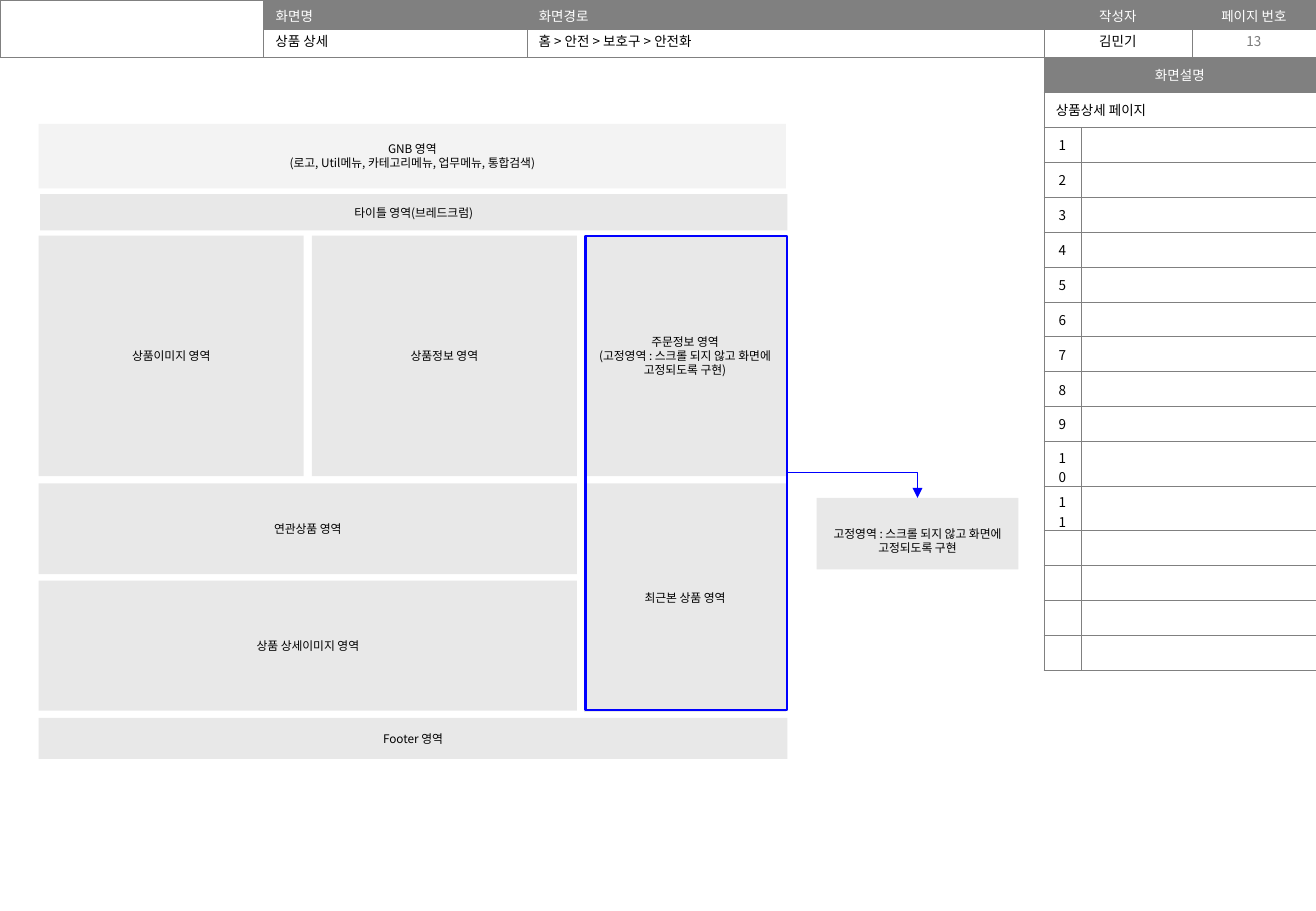
from lxml import etree
from pptx import Presentation
from pptx import util as u
from pptx.dml.color import RGBColor
from pptx.enum import shapes, text
from pptx.oxml import ns

FONT = "Noto Sans CJK KR"
WHITE = RGBColor(0xFF, 0xFF, 0xFF)
BLACK = RGBColor(0, 0, 0)
GRAY = RGBColor(0x80, 0x80, 0x80)
PAGE_GRAY = RGBColor(0x79, 0x79, 0x79)
LIGHT = RGBColor(0xF3, 0xF3, 0xF3)
AREA = RGBColor(0xE8, 0xE8, 0xE8)
BLUE = RGBColor(0, 0, 0xFF)
LEFT, CENTER = text.PP_ALIGN.LEFT, text.PP_ALIGN.CENTER
TOP, MIDDLE = text.MSO_ANCHOR.TOP, text.MSO_ANCHOR.MIDDLE

COLUMNS = [5.51, 5.5, 10.81, 3.1, 2.59]
HEADINGS = ["", "화면명", "화면경로", "작성자", "페이지 번호"]
VALUES = [
    (1, "상품 상세", LEFT, TOP, BLACK),
    (2, "홈 > 안전 > 보호구 > 안전화", LEFT, TOP, BLACK),
    (3, "김민기", CENTER, TOP, BLACK),
    (4, "13", CENTER, MIDDLE, PAGE_GRAY),
]
NOTES = [str(number) for number in range(1, 12)] + [""] * 4
AREAS = [
    ("GNB 영역\n(로고, Util메뉴, 카테고리메뉴, 업무메뉴, 통합검색)", 0, 0, 15.62, 1.35, LIGHT),
    ("상품이미지 영역", 0, 2.34, 5.54, 5.03, AREA),
    ("주문정보 영역\n(고정영역 : 스크롤 되지 않고 화면에 고정되도록 구현)", 11.4, 2.34, 4.22, 5.03, AREA),
    ("상품정보 영역", 5.71, 2.34, 5.54, 5.03, AREA),
    ("연관상품 영역", 0, 7.52, 11.25, 1.9, AREA),
    ("상품 상세이미지 영역", 0, 9.55, 11.25, 2.72, AREA),
    ("Footer 영역", 0, 12.42, 15.65, 0.86, AREA),
    ("최근본 상품 영역", 11.4, 7.52, 4.22, 4.78, AREA),
    ("타이틀 영역(브레드크럼)", 0.03, 1.47, 15.62, 0.76, AREA),
]


def write(frame, words, size, color, align):
    frame.text = words
    for para in frame.paragraphs:
        para.alignment = align
        font = para.font
        font.size = u.Pt(size)
        font.name = FONT
        font.color.rgb = color
        etree.SubElement(font._element, ns.qn("a:ea"), typeface=FONT)


def set_borders(cell):
    properties = cell._tc.get_or_add_tcPr()
    for index, side in enumerate(("lnL", "lnR", "lnT", "lnB")):
        line = etree.Element(ns.qn(f"a:{side}"), w=str(u.Pt(0.25)))
        fill = etree.SubElement(line, ns.qn("a:solidFill"))
        etree.SubElement(fill, ns.qn("a:srgbClr"), val=str(GRAY))
        properties.insert(index, line)


def fill_cell(cell, words="", color=BLACK, align=LEFT, anchor=MIDDLE, fill=None):
    write(cell.text_frame, words, 8, color, align)
    cell.vertical_anchor = anchor
    if fill is None:
        cell.fill.background()
    else:
        cell.fill.solid()
        cell.fill.fore_color.rgb = fill
    set_borders(cell)


def add_grid(page, left, top, widths, rows, row_height):
    grid = page.shapes.add_table(
        rows, len(widths), u.Cm(left), u.Cm(top), u.Cm(sum(widths)), u.Cm(rows * row_height)
    ).table
    grid.first_row = grid.horz_banding = False
    for column, width in zip(grid.columns, widths):
        column.width = u.Cm(width)
    for row in grid.rows:
        row.height = u.Cm(row_height)
    return grid


def add_header(page, left, top, row_height):
    grid = add_grid(page, left, top, COLUMNS, 2, row_height)
    for index, heading in enumerate(HEADINGS):
        align = CENTER if index > 2 else LEFT
        fill_cell(grid.cell(0, index), heading, WHITE, align, TOP, GRAY if heading else None)
        fill_cell(grid.cell(1, index))
        for row in range(2):
            grid.cell(row, index).margin_bottom = 0
    grid.cell(0, 0).merge(grid.cell(1, 0))
    for index, words, align, anchor, color in VALUES:
        box = page.shapes.add_textbox(
            u.Cm(left + sum(COLUMNS[:index])), u.Cm(top + row_height - 0.04),
            u.Cm(min(COLUMNS[index], 5.46)), u.Cm(0.61),
        )
        box.text_frame.word_wrap = True
        box.text_frame.vertical_anchor = anchor
        write(box.text_frame, words, 8, color, align)


def add_description(page, left, top, row_height):
    grid = add_grid(page, left, top, [0.78, 4.91], len(NOTES) + 2, row_height)
    fill_cell(grid.cell(0, 0), "화면설명", WHITE, CENTER, fill=GRAY)
    fill_cell(grid.cell(1, 0), "상품상세 페이지")
    for row in range(2):
        fill_cell(grid.cell(row, 1))
        grid.cell(row, 0).merge(grid.cell(row, 1))
    for row, number in enumerate(NOTES, 2):
        fill_cell(grid.cell(row, 0), number, align=CENTER)
        fill_cell(grid.cell(row, 1))


def add_rectangle(page, left, top, width, height):
    box = page.shapes.add_shape(
        shapes.MSO_SHAPE.RECTANGLE, u.Cm(left), u.Cm(top), u.Cm(width), u.Cm(height)
    )
    box.shadow.inherit = False
    return box


def add_area(page, words, left, top, width, height, color, inset=0.25):
    box = add_rectangle(page, left, top, width, height)
    box.fill.solid()
    box.fill.fore_color.rgb = color
    box.line.fill.background()
    frame = box.text_frame
    frame.word_wrap = True
    frame.vertical_anchor = MIDDLE
    frame.margin_left = frame.margin_right = u.Cm(inset)
    frame.margin_top = frame.margin_bottom = u.Cm(inset)
    write(frame, words, 7, BLACK, CENTER)
    return box


def add_wireframe(page, left, top):
    for words, x, y, width, height, color in AREAS:
        add_area(page, words, left + x, top + y, width, height, color)
    callout = add_area(
        page, "고정영역 : 스크롤 되지 않고 화면에 고정되도록 구현",
        left + 16.26, top + 7.82, 4.22, 1.5, AREA, 0,
    )
    callout.text_frame.margin_top = u.Cm(0.29)
    fixed_frame = add_rectangle(page, left + 11.43, top + 2.34, 4.22, 9.91)
    fixed_frame.fill.background()
    fixed_frame.line.color.rgb = BLUE
    fixed_frame.line.width = u.Pt(1.25)
    add_arrow(page, fixed_frame, callout)


def add_arrow(page, source, target):
    arrow = page.shapes.add_connector(shapes.MSO_CONNECTOR.ELBOW, 0, 0, 0, 0)
    arrow.begin_connect(source, 3)
    arrow.end_connect(target, 0)
    arrow.line.color.rgb = BLUE
    arrow.line.width = u.Pt(0.75)
    properties = arrow._element.spPr
    properties.find(ns.qn("a:prstGeom")).set("prst", "bentConnector2")
    etree.SubElement(properties.find(ns.qn("a:ln")), ns.qn("a:tailEnd"), type="triangle")
    etree.SubElement(properties, ns.qn("a:effectLst"))


def main():
    deck = Presentation()
    deck.slide_width, deck.slide_height = u.Cm(27.51), u.Cm(19.05)
    page = deck.slides.add_slide(deck.slide_layouts[6])
    add_header(page, 0, 0, 0.6)
    add_description(page, 21.82, 1.2, 0.73)
    add_wireframe(page, 0.81, 2.59)
    deck.save("out.pptx")


if __name__ == "__main__":
    main()
